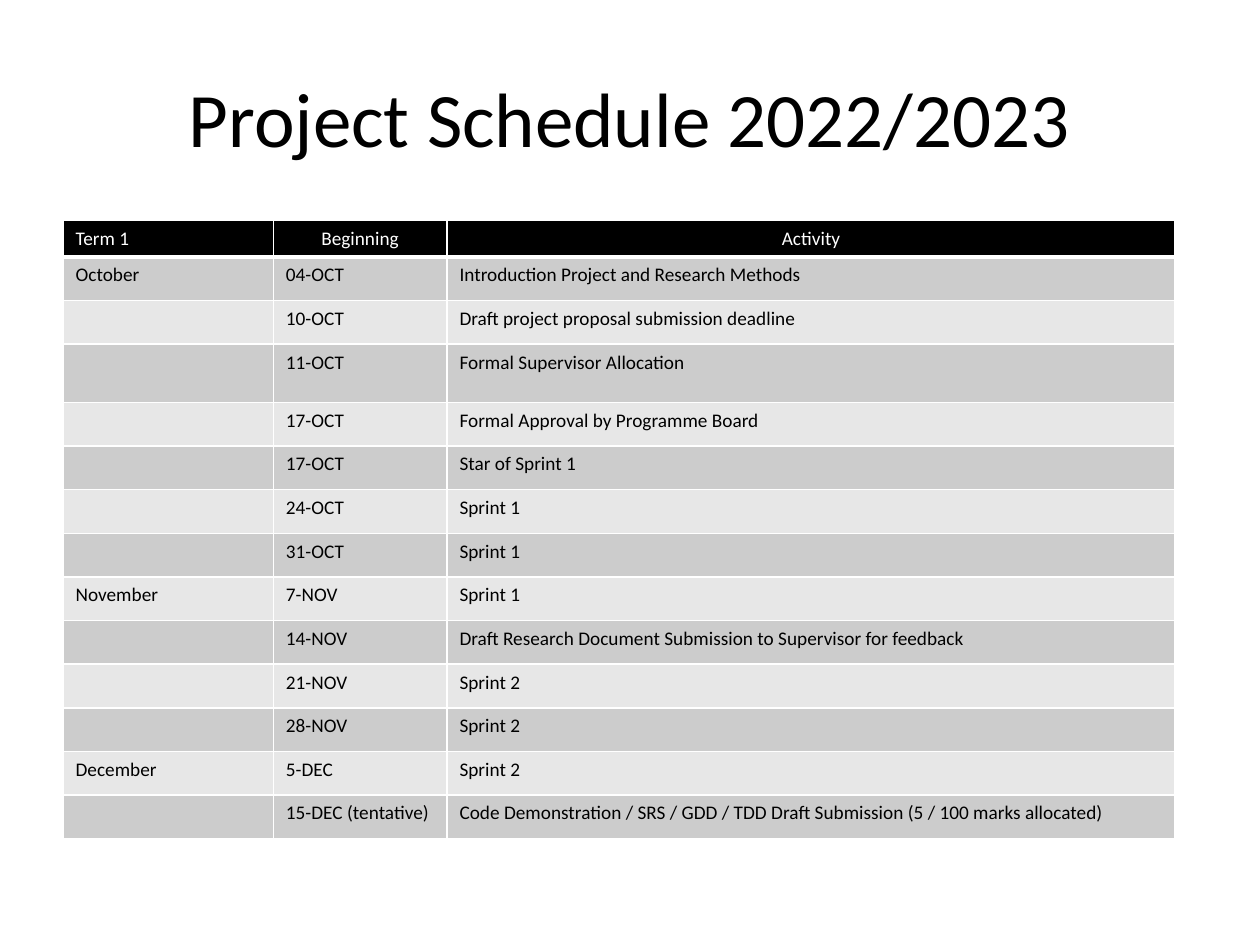
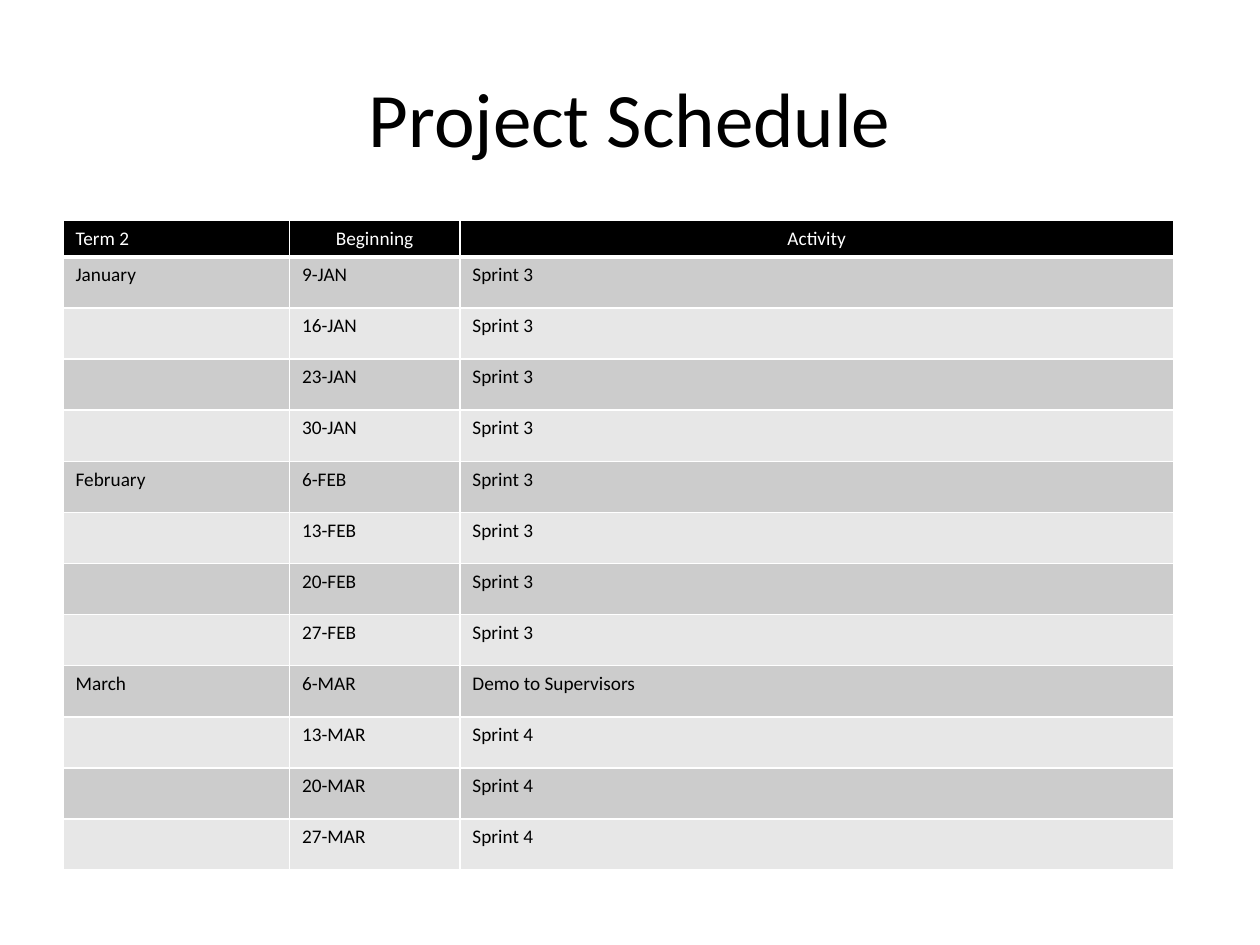
from dataclasses import dataclass

from lxml import etree
from pptx import Presentation
from pptx.dml.color import RGBColor
from pptx.enum.text import MSO_ANCHOR, PP_ALIGN
from pptx.oxml.ns import qn
from pptx.util import Pt


@dataclass(frozen=True)
class Theme:
    """Colours and type sizes shared by all slides."""
    font: str = "Calibri"
    title_size: int = 44
    cell_size: int = 11
    ink: str = "000000"
    paper: str = "FFFFFF"
    bands: tuple = ("CCCCCC", "E7E7E7")
    rule: float = 1
    header_rule: float = 3


class Deck:
    """Holds the theme and the current slide, and draws each kind of element."""

    def __init__(self, theme):
        """Start an empty 10 by 7.5 inch presentation."""
        self.theme = theme
        self.file = Presentation()
        self.file.slide_width, self.file.slide_height = Pt(720), Pt(540)
        self.slide = None

    def style(self, font, size, color):
        """Apply the theme typeface with a size and colour."""
        font.name, font.size, font.bold = self.theme.font, Pt(size), False
        font.color.rgb = RGBColor.from_string(color)

    def add_slide(self, heading):
        """Add a title-only slide with a centred heading."""
        self.slide = self.file.slides.add_slide(self.file.slide_layouts[5])
        background = self.slide.background.fill
        background.solid()
        background.fore_color.rgb = RGBColor.from_string(self.theme.paper)
        title = self.slide.shapes.title
        title.left, title.top, title.width, title.height = Pt(36), Pt(21.6), Pt(648), Pt(90)
        frame = title.text_frame
        frame.vertical_anchor = MSO_ANCHOR.MIDDLE
        paragraph = frame.paragraphs[0]
        paragraph.alignment = PP_ALIGN.CENTER
        run = paragraph.add_run()
        run.text = heading
        self.style(run.font, self.theme.title_size, self.theme.ink)

    def borders(self, cell, bottom):
        """Rule all four sides of a cell, ahead of its fill."""
        properties = cell._tc.get_or_add_tcPr()
        for index, side in enumerate(("lnL", "lnR", "lnT", "lnB")):
            width = bottom if side == "lnB" else self.theme.rule
            line = etree.Element(qn(f"a:{side}"), w=str(Pt(width)))
            fill = etree.SubElement(line, qn("a:solidFill"))
            etree.SubElement(fill, qn("a:srgbClr"), val=self.theme.paper)
            properties.insert(index, line)

    def cell(self, cell, text, fill, color, align, bottom):
        """Fill, rule and write one table cell."""
        cell.fill.solid()
        cell.fill.fore_color.rgb = RGBColor.from_string(fill)
        self.borders(cell, bottom)
        paragraph = cell.text_frame.paragraphs[0]
        paragraph.alignment = align
        if text:
            run = paragraph.add_run()
            run.text = text
            self.style(run.font, self.theme.cell_size, color)
        else:
            etree.SubElement(paragraph._p, qn("a:endParaRPr"), sz=str(self.theme.cell_size * 100))

    def schedule(self, term, months, widths, header_height, row_height, tall_rows=None):
        """Draw a banded schedule table, naming each month on its first row."""
        theme = self.theme
        rows = [(term, "Beginning", "Activity")]
        for month, entries in months.items():
            rows += [("" if i else month, *entry) for i, entry in enumerate(entries)]
        heights = [header_height] + [row_height] * (len(rows) - 1)
        for index, height in (tall_rows or {}).items():
            heights[index] = height
        table = self.slide.shapes.add_table(
            len(rows), len(widths), Pt(36), Pt(126), Pt(sum(widths)), Pt(sum(heights))).table
        for column, width in zip(table.columns, widths):
            column.width = Pt(width)
        for r, (row, height) in enumerate(zip(rows, heights)):
            table.rows[r].height = Pt(height)
            for c, text in enumerate(row):
                if r == 0:
                    align = PP_ALIGN.CENTER if c else PP_ALIGN.LEFT
                    look = theme.ink, theme.paper, align, theme.header_rule
                else:
                    look = theme.bands[(r - 1) % 2], theme.ink, PP_ALIGN.LEFT, theme.rule
                self.cell(table.cell(r, c), text, *look)


TERM_1 = {
    "October": [
        ("04-OCT", "Introduction Project and Research Methods"),
        ("10-OCT", "Draft project proposal submission deadline"),
        ("11-OCT", "Formal Supervisor Allocation"),
        ("17-OCT", "Formal Approval by Programme Board"),
        ("17-OCT", "Star of Sprint 1"),
        ("24-OCT", "Sprint 1"),
        ("31-OCT", "Sprint 1"),
    ],
    "November": [
        ("7-NOV", "Sprint 1"),
        ("14-NOV", "Draft Research Document Submission to Supervisor for feedback"),
        ("21-NOV", "Sprint 2"),
        ("28-NOV", "Sprint 2"),
    ],
    "December": [
        ("5-DEC", "Sprint 2"),
        ("15-DEC (tentative)",
         "Code Demonstration / SRS / GDD / TDD Draft Submission (5 / 100 marks allocated)"),
    ],
}
TERM_2 = {
    "January": [(f"{day}-JAN", "Sprint 3") for day in (9, 16, 23, 30)],
    "February": [(f"{day}-FEB", "Sprint 3") for day in (6, 13, 20, 27)],
    "March": [("6-MAR", "Demo to Supervisors")]
    + [(f"{day}-MAR", "Sprint 4") for day in (13, 20, 27)],
}

deck = Deck(Theme())
deck.add_slide("Project Schedule 2022/2023")
deck.schedule("Term 1", TERM_1, (120.2, 99.2, 416.2), 20.5, 24.95, {3: 33.2})
deck.add_slide("Project Schedule")
deck.schedule("Term 2", TERM_2, (129.4, 97.4, 407.8), 20.5, 29.2)
deck.file.save("out.pptx")
